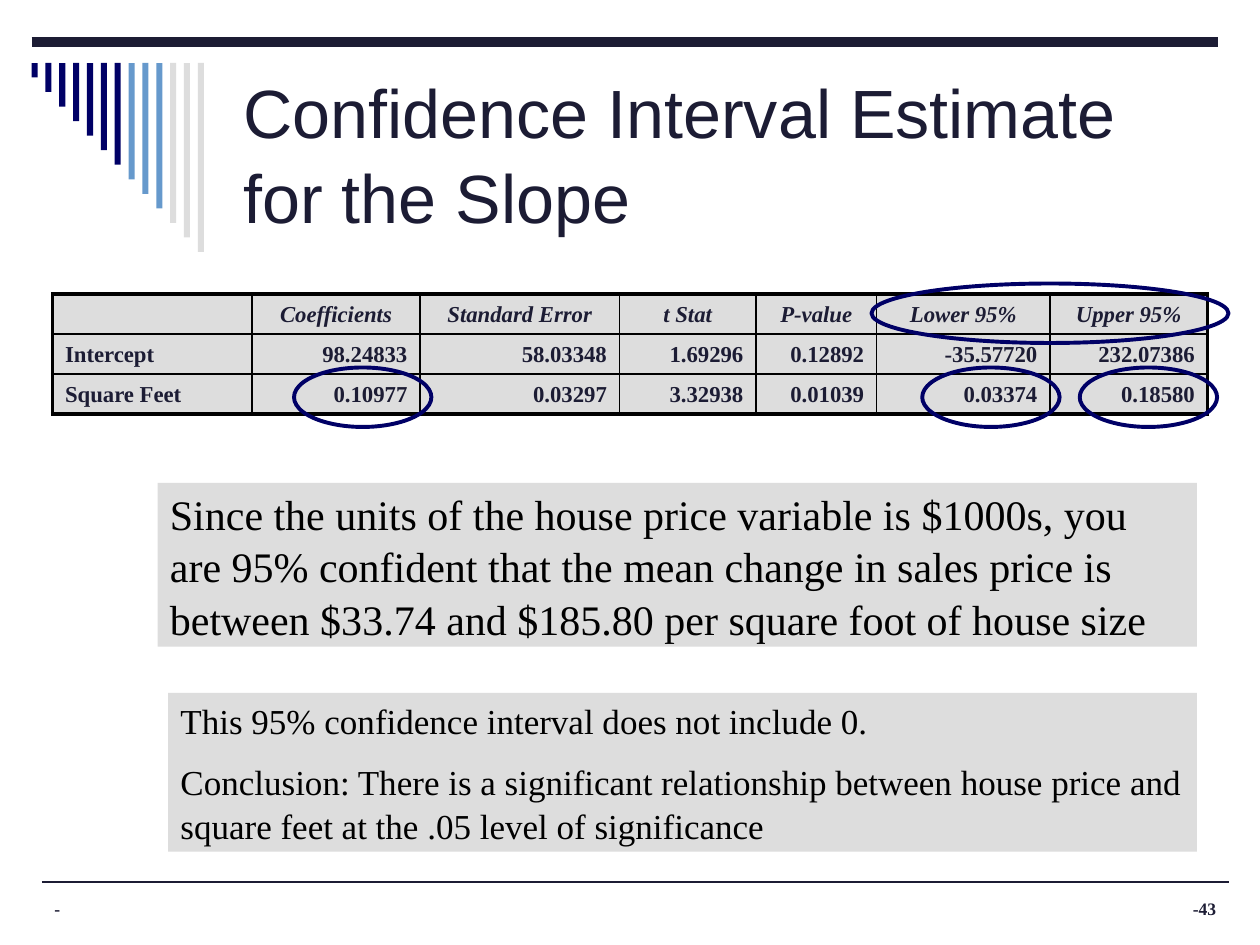
"""Build the slide on the confidence interval estimate for the slope."""
from dataclasses import dataclass
from typing import NamedTuple

from lxml.etree import SubElement
from pptx import Presentation
from pptx.dml.color import RGBColor
from pptx.enum.shapes import MSO_CONNECTOR as Connector, MSO_SHAPE as Preset
from pptx.enum.text import MSO_ANCHOR as Anchor, PP_ALIGN as Align
from pptx.oxml.ns import qn
from pptx.util import Pt


@dataclass(frozen=True)
class Theme:
    ink: str = "1C1C34"
    black: str = "000000"
    navy: str = "000066"
    sky: str = "6699CC"
    grey: str = "DDDDDD"
    sans: str = "Arial"
    serif: str = "Times New Roman"
    title: float = 39
    statement: float = 24
    conclusion: float = 20
    table: float = 13
    footer: float = 10
    leading: float = 1.04
    thin: float = 1
    thick: float = 2.25


class Box(NamedTuple):
    left: float
    top: float
    width: float
    height: float

    def lengths(self) -> list:
        return [Pt(value) for value in self]


class Style(NamedTuple):
    font: str
    size: float
    color: str
    bold: bool = False
    italic: bool = False


class Rule(NamedTuple):
    left: float
    right: float
    y: float
    width: float


class Panel(NamedTuple):
    box: Box
    size: float
    paragraphs: tuple


THEME = Theme()
RULES = (Rule(24, 702, 504, 1), Rule(18, 696, 24, 6))
BAR_COLORS = [THEME.navy] * 7 + [THEME.sky] * 3 + [THEME.grey] * 3
TITLE_BOX = Box(132, 36, 552, 102)
TITLE_LINES = ("Confidence Interval Estimate", "for the Slope")
PANELS = (
    Panel(Box(90, 276, 594, 93.6), THEME.statement, (
        "Since the units of the house price variable is $1000s, you are 95% confident "
        "that the mean change in sales price is between $33.74 and $185.80 per square "
        "foot of house size",)),
    Panel(Box(96, 396, 588, 90.7), THEME.conclusion, (
        "This 95% confidence interval does not include 0.",
        "Conclusion: There is a significant relationship between house price and "
        "square feet at the .05 level of significance")),
)
COLUMN_WIDTHS = (114, 96, 114, 78, 69, 99, 90)
ROW_HEIGHT = 22.9
TABLE_ROWS = (
    ("", "Coefficients", "Standard Error", "t Stat", "P-value", "Lower 95%", "Upper 95%"),
    ("Intercept", "98.24833", "58.03348", "1.69296", "0.12892", "-35.57720", "232.07386"),
    ("Square Feet", "0.10977", "0.03297", "3.32938", "0.01039", "0.03374", "0.18580"),
)
HIGHLIGHTS = (Box(498, 162, 204, 34),) + tuple(
    Box(left, 210, 78.5, 34) for left in (168, 527, 617))


def add_run(paragraph, text: str, style: Style) -> None:
    run = paragraph.add_run()
    run.text = text
    font = run.font
    font.name, font.size = style.font, Pt(style.size)
    font.bold, font.italic = style.bold, style.italic
    font.color.rgb = RGBColor.from_string(style.color)


def add_filled(slide, box: Box, color: str):
    shape = slide.shapes.add_shape(Preset.RECTANGLE, *box.lengths())
    shape.shadow.inherit = False
    shape.fill.solid()
    shape.fill.fore_color.rgb = RGBColor.from_string(color)
    shape.line.fill.background()
    return shape


def add_rule(slide, rule: Rule) -> None:
    y = Pt(rule.y)
    line = slide.shapes.add_connector(
        Connector.STRAIGHT, Pt(rule.left), y, Pt(rule.right), y)
    line.line.color.rgb = RGBColor.from_string(THEME.ink)
    line.line.width = Pt(rule.width)
    SubElement(line._element.spPr, qn("a:effectLst"))


def add_bars(slide) -> None:
    for index, color in enumerate(BAR_COLORS):
        height = 108 * (index + 1) / len(BAR_COLORS)
        add_filled(slide, Box(18 + 7.92 * index, 36, 3.5, height), color)


def add_text_box(slide, box: Box, align):
    frame = slide.shapes.add_textbox(*box.lengths()).text_frame
    frame.word_wrap = True
    frame.vertical_anchor = Anchor.MIDDLE
    paragraph = frame.paragraphs[0]
    paragraph.alignment = align
    return paragraph


def add_title(slide) -> None:
    paragraph = add_text_box(slide, TITLE_BOX, Align.LEFT)
    paragraph.line_spacing = THEME.leading
    style = Style(THEME.sans, THEME.title, THEME.ink)
    for index, text in enumerate(TITLE_LINES):
        if index:
            paragraph.add_line_break()
        add_run(paragraph, text, style)


def add_panel(slide, panel: Panel) -> None:
    frame = add_filled(slide, panel.box, THEME.grey).text_frame
    frame.word_wrap = True
    frame.vertical_anchor = Anchor.MIDDLE
    for index, text in enumerate(panel.paragraphs):
        paragraph = frame.add_paragraph() if index else frame.paragraphs[0]
        paragraph.alignment = Align.LEFT
        paragraph.line_spacing = THEME.leading
        if index:
            paragraph.space_before = Pt(panel.size / 2)
        add_run(paragraph, text, Style(THEME.serif, panel.size, THEME.black))


def set_borders(cell, outer_edges: dict) -> None:
    properties = cell._tc.get_or_add_tcPr()
    for edge, is_outer in outer_edges.items():
        width = THEME.thick if is_outer else THEME.thin
        line = SubElement(properties, qn(f"a:ln{edge}"), w=str(Pt(width)))
        fill = SubElement(line, qn("a:solidFill"))
        SubElement(fill, qn("a:srgbClr"), val=THEME.black)


def add_regression_table(slide) -> None:
    row_count, column_count = len(TABLE_ROWS), len(COLUMN_WIDTHS)
    box = Box(30, 168, sum(COLUMN_WIDTHS), ROW_HEIGHT * row_count)
    table = slide.shapes.add_table(row_count, column_count, *box.lengths()).table
    table.first_row = table.horz_banding = False
    for column, width in zip(table.columns, COLUMN_WIDTHS):
        column.width = Pt(width)
    for row_index, values in enumerate(TABLE_ROWS):
        table.rows[row_index].height = Pt(ROW_HEIGHT)
        is_header = row_index == 0
        style = Style(THEME.serif, THEME.table, THEME.ink, True, is_header)
        for column_index, text in enumerate(values):
            cell = table.cell(row_index, column_index)
            set_borders(cell, {
                "L": column_index == 0, "R": column_index == column_count - 1,
                "T": is_header, "B": row_index == row_count - 1})
            cell.fill.solid()
            cell.fill.fore_color.rgb = RGBColor.from_string(THEME.grey)
            cell.vertical_anchor = Anchor.BOTTOM
            paragraph = cell.text_frame.paragraphs[0]
            if not text:
                SubElement(paragraph._p, qn("a:endParaRPr"), sz=str(THEME.table * 100))
                continue
            body_align = Align.RIGHT if column_index else Align.LEFT
            paragraph.alignment = Align.CENTER if is_header else body_align
            add_run(paragraph, text, style)


def add_highlight(slide, box: Box) -> None:
    ellipse = slide.shapes.add_shape(Preset.OVAL, *box.lengths())
    ellipse.shadow.inherit = False
    ellipse.fill.background()
    ellipse.line.color.rgb = RGBColor.from_string(THEME.navy)
    ellipse.line.width = Pt(THEME.thick)


def main() -> None:
    presentation = Presentation()
    presentation.slide_width, presentation.slide_height = Pt(720), Pt(540)
    slide = presentation.slides.add_slide(presentation.slide_layouts[6])
    for rule in RULES:
        add_rule(slide, rule)
    add_bars(slide)
    footer = Style(THEME.serif, THEME.footer, THEME.ink, True)
    add_run(add_text_box(slide, Box(24, 510, 450, 18), Align.LEFT), "-", footer)
    add_run(add_text_box(slide, Box(534, 510, 168, 18), Align.RIGHT), "-43", footer)
    add_title(slide)
    add_regression_table(slide)
    for box in HIGHLIGHTS:
        add_highlight(slide, box)
    for panel in PANELS:
        add_panel(slide, panel)
    presentation.save("out.pptx")


if __name__ == "__main__":
    main()
